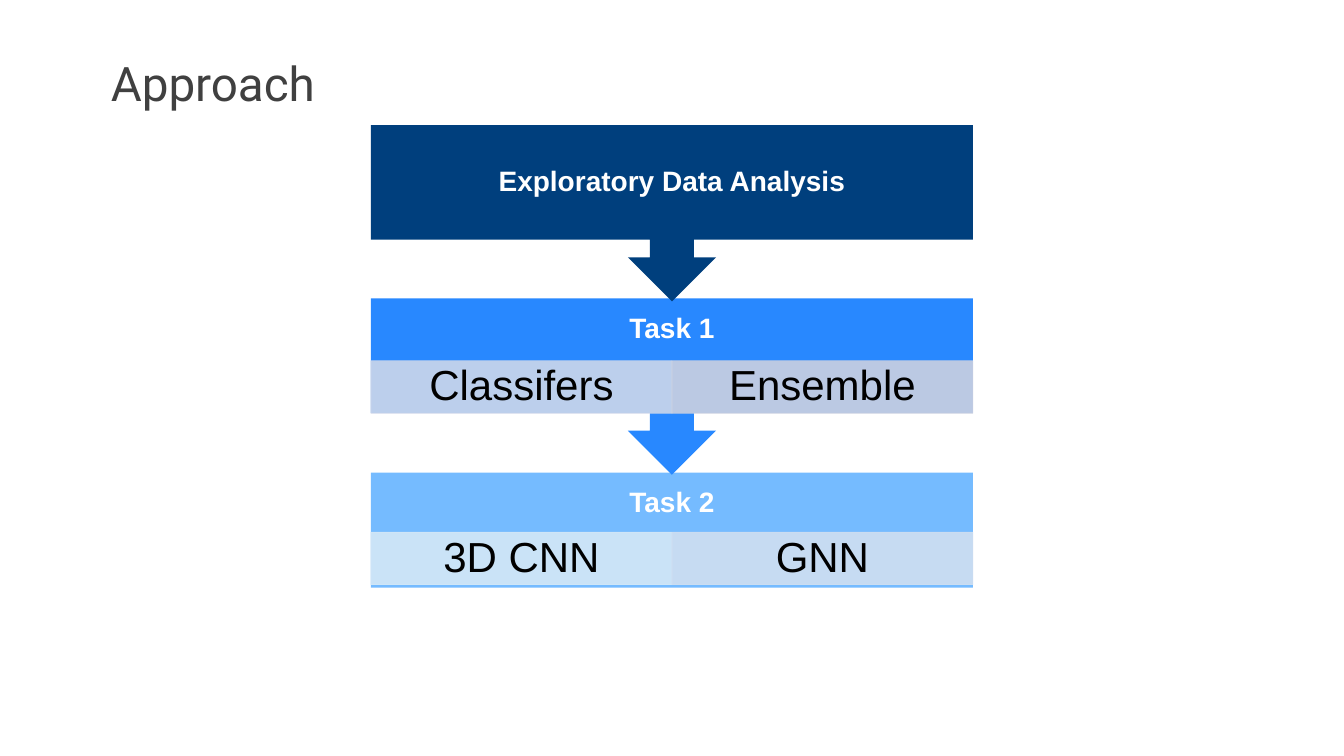
from lxml import etree
from pptx import Presentation
from pptx.dml.color import RGBColor
from pptx.enum import shapes, text
from pptx.oxml.ns import qn
from pptx.util import Inches, Pt

COLORS = {
    "heading": "404040", "white": "FFFFFF", "black": "000000",
    "navy": "003F7D", "blue": "2888FF", "sky": "75BBFF",
    "classifiers": "CDD7EA", "ensemble": "CBD1E1",
    "cnn": "D4E8F7", "gnn": "CFDFF1",
}
HEADING = "Approach"
# title, colour, top, height, title height, methods, top of methods
STAGES = [
    ("Exploratory Data Analysis", "navy", 1.24, 1.75, 1.13, [], None),
    ("Task 1", "blue", 2.96, 1.75, 0.61,
     [("Classifers", "classifiers"), ("Ensemble", "ensemble")], 3.58),
    ("Task 2", "sky", 4.69, 1.14, 0.61,
     [("3D CNN", "cnn"), ("GNN", "gnn")], 5.28),
]
LEFT, WIDTH, METHOD_HEIGHT = 3.68, 5.97, 0.52
METHOD_OPACITY = 90

prs = Presentation()
prs.slide_width, prs.slide_height = Inches(13.33), Inches(7.5)
slide = prs.slides.add_slide(prs.slide_layouts[6])


def rgb(color):
    return RGBColor.from_string(COLORS[color])


def set_opacity(fill_parent):
    """Make the solid colour inside an spPr or ln element translucent."""
    color = fill_parent.find(qn("a:solidFill")).find(qn("a:srgbClr"))
    etree.SubElement(color, qn("a:alpha")).set("val", str(METHOD_OPACITY * 1000))


def add_block(kind, box, color):
    block = slide.shapes.add_shape(kind, *map(Inches, box))
    block.shadow.inherit = False
    block.fill.solid()
    block.fill.fore_color.rgb = rgb(color)
    block.line.fill.background()
    return block


def write(holder, words, size, color, font="Arial", bold=False, insets=(0, 0),
          align=text.PP_ALIGN.CENTER, anchor=text.MSO_ANCHOR.MIDDLE):
    frame = holder.text_frame
    frame.word_wrap = True
    frame.vertical_anchor = anchor
    frame.margin_left = frame.margin_right = Inches(insets[0])
    frame.margin_top = frame.margin_bottom = Inches(insets[1])
    paragraph = frame.paragraphs[0]
    paragraph.alignment = align
    paragraph.line_spacing = 0.9
    run = paragraph.add_run()
    run.text = words
    run.font.name, run.font.size, run.font.bold = font, Pt(size), bold
    run.font.color.rgb = rgb(color)


def add_text(box, *args, **style):
    write(slide.shapes.add_textbox(*map(Inches, box)), *args, **style)


def add_method(name, color, box):
    method = add_block(shapes.MSO_SHAPE.RECTANGLE, box, color)
    method.line.color.rgb = rgb(color)
    method.line.width = Pt(0.5)
    properties = method._element.spPr
    set_opacity(properties)
    set_opacity(properties.find(qn("a:ln")))
    write(method, name, 30, "black", insets=(0.23, 0.04))


add_text((1.1, 0.6, 10, 1.1), HEADING, 34, "heading", font="Roboto",
         align=text.PP_ALIGN.LEFT, anchor=text.MSO_ANCHOR.TOP)

# Last stage first, so that each arrow tip lies over the stage below it
for stage in reversed(STAGES):
    title, color, top, height, title_height, methods, methods_top = stage
    kind = (shapes.MSO_SHAPE.RECTANGLE if stage is STAGES[-1]
            else shapes.MSO_SHAPE.DOWN_ARROW_CALLOUT)
    add_block(kind, (LEFT, top, WIDTH, height), color)
    add_text((LEFT, top, WIDTH, title_height), title, 20, "white",
             bold=True, insets=(0.16, 0.16))
    for column, (name, method_color) in enumerate(methods):
        method_width = WIDTH / len(methods)
        add_method(name, method_color, (LEFT + column * method_width, methods_top,
                                        method_width, METHOD_HEIGHT))

prs.save("out.pptx")
